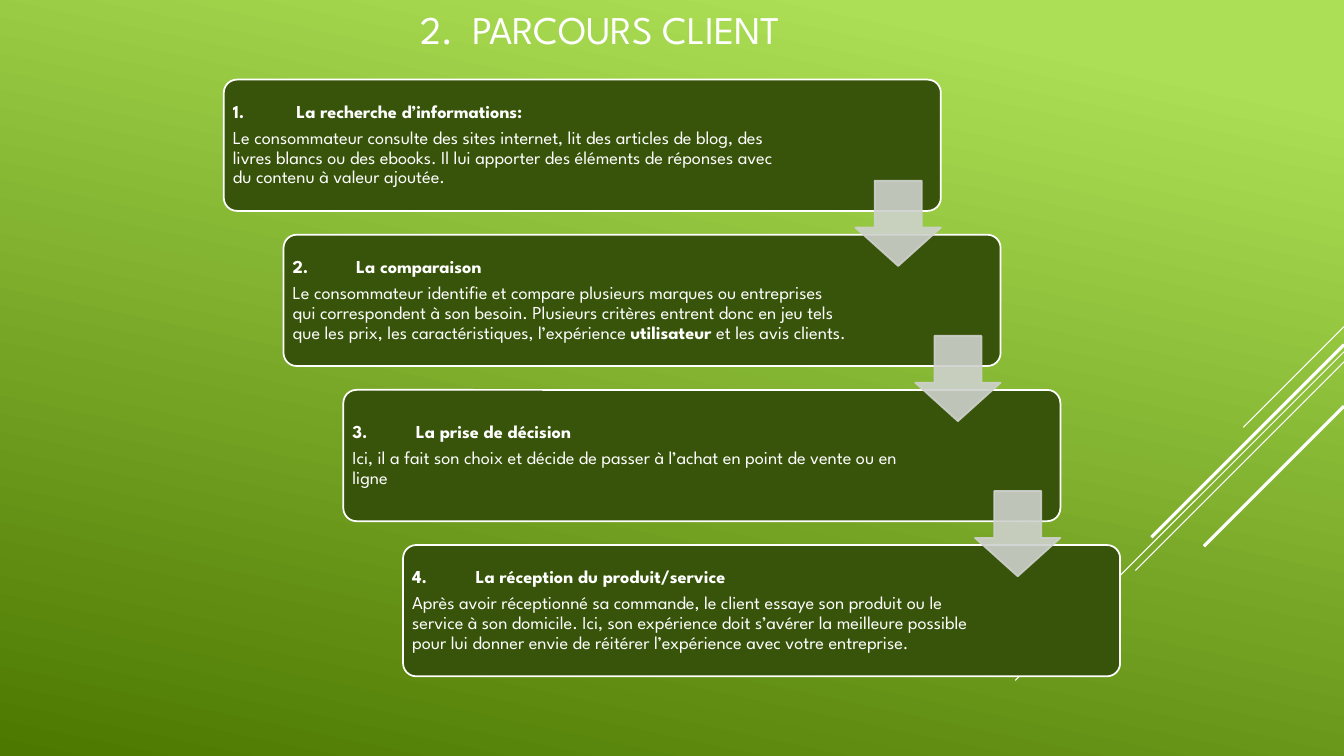
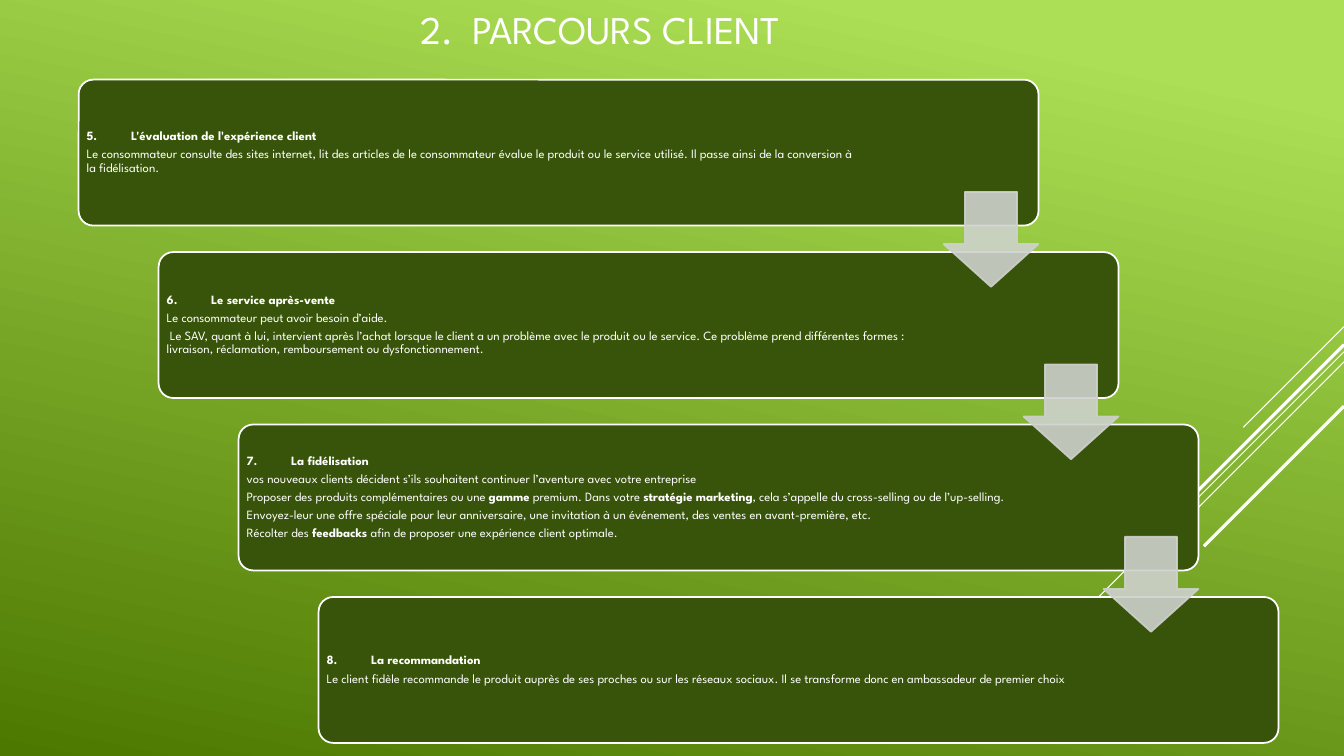
from dataclasses import dataclass

from lxml.etree import SubElement
from pptx import Presentation
from pptx.dml.color import RGBColor
from pptx.enum.shapes import MSO_CONNECTOR, MSO_SHAPE
from pptx.enum.text import MSO_ANCHOR, PP_ALIGN
from pptx.oxml.ns import qn
from pptx.util import Inches, Pt

PAGE_WIDTH, PAGE_HEIGHT = 13.33, 7.5
FONT = "League Spartan"
TITLE = "2.\tPARCOURS CLIENT"
COLOURS = {
    "light": "ACDF55",
    "dark": "4C7800",
    "card": "38540A",
    "arrow": "CED1CC",
    "white": "FFFFFF",
}

# Shares of the staircase (card size) and of a card (arrow size and place)
CARD_WIDTH, CARD_HEIGHT = 0.8, 0.22
ARROW_SIZE, ARROW_DROP = 0.65, 0.77
CARD_PADDING = 0.04


@dataclass(frozen=True)
class Diagonal:
    top: float
    run: float
    weight: float


@dataclass(frozen=True)
class Step:
    heading: str
    lines: tuple[str, ...]  # ** switches bold on and off


@dataclass(frozen=True)
class Staircase:
    left: float
    top: float
    width: float
    height: float
    text_share: float
    inset: float
    size: int
    tab: float
    steps: tuple[Step, ...]


DIAGONALS = (
    Diagonal(3.24, 1, 0.75),
    Diagonal(3.49, 3.26, 0.75),
    Diagonal(3.59, 2.07, 0.75),
    Diagonal(3.42, 1.91, 2.25),
    Diagonal(4.03, 1.39, 2.25),
)

STAIRCASES = (
    Staircase(2.22, 0.79, 8.89, 5.92, 0.79, 0.05, 13, 0.63, (
        Step("1.\tLa recherche d’informations:", (
            "Le consommateur consulte des sites internet, lit des articles de blog, des livres blancs "
            "ou des ebooks. Il lui apporter des éléments de réponses avec du contenu à valeur ajoutée.",
        )),
        Step("2.\tLa comparaison", (
            "Le consommateur identifie et compare plusieurs marques ou entreprises qui correspondent "
            "à son besoin. Plusieurs critères entrent donc en jeu tels que les prix, les "
            "caractéristiques, l’expérience **utilisateur **et les avis clients.",
        )),
        Step("3.\tLa prise de décision", (
            "Ici, il a fait son choix et décide de passer à l’achat en point de vente ou en ligne",
        )),
        Step("4.\tLa réception du produit/service", (
            "Après avoir réceptionné sa commande, le client essaye son produit ou le service à son "
            "domicile. Ici, son expérience doit s’avérer la meilleure possible pour lui donner envie "
            "de réitérer l’expérience avec votre entreprise.",
        )),
    )),
    Staircase(0.78, 0.79, 11.9, 6.58, 0.81, 0.04, 9, 0.44, (
        Step("5.\tL'évaluation de l'expérience client", (
            "Le consommateur consulte des sites internet, lit des articles de le consommateur évalue "
            "le produit ou le service utilisé. Il passe ainsi de la conversion à la fidélisation.",
        )),
        Step("6.\tLe service après-vente", (
            "Le consommateur peut avoir besoin d’aide.",
            " Le SAV, quant à lui, intervient après l’achat lorsque le client a un problème avec le "
            "produit ou le service. Ce problème prend différentes formes : livraison, réclamation, "
            "remboursement ou dysfonctionnement.",
        )),
        Step("7.\tLa fidélisation", (
            "vos nouveaux clients décident s’ils souhaitent continuer l’aventure avec votre entreprise",
            "Proposer des produits complémentaires ou une **gamme **premium. Dans votre "
            "**stratégie marketing**, cela s’appelle du cross-selling ou de l’up-selling.",
            "Envoyez-leur une offre spéciale pour leur anniversaire, une invitation à un événement, "
            "des ventes en avant-première, etc.",
            "Récolter des **feedbacks **afin de proposer une expérience client optimale.",
        )),
        Step("8.\tLa recommandation", (
            "Le client fidèle recommande le produit auprès de ses proches ou sur les réseaux sociaux. "
            "Il se transforme donc en ambassadeur de premier choix",
        )),
    )),
)


def colour(name: str) -> RGBColor:
    return RGBColor.from_string(COLOURS[name])


def set_font(para, size: float) -> None:
    para.font.name = FONT
    para.font.size = Pt(size)
    para.font.color.rgb = colour("white")


def set_tab(para, position: float) -> None:
    """Add one left tab stop; the paragraph's font must be set already."""
    properties = para._p.get_or_add_pPr()
    tabs = SubElement(properties, qn("a:tabLst"))
    SubElement(tabs, qn("a:tab"), pos=str(Inches(position)), algn="l")
    properties.find(qn("a:defRPr")).addprevious(tabs)


def add_box(page, left: float, top: float, width: float, height: float):
    box = page.shapes.add_textbox(Inches(left), Inches(top), Inches(width), Inches(height))
    box.text_frame.word_wrap = True
    return box.text_frame


def add_preset(page, kind, place: tuple[float, ...], adjustments: tuple[float, ...],
               fill: str, line: str):
    shape = page.shapes.add_shape(kind, *map(Inches, place))
    for index, value in enumerate(adjustments):
        shape.adjustments[index] = value
    shape.shadow.inherit = False
    shape.fill.solid()
    shape.fill.fore_color.rgb = colour(fill)
    shape.line.color.rgb = colour(line)
    shape.line.width = Pt(1.25)
    return shape


def add_page(deck):
    """Start a page with the shared background, diagonals and title."""
    page = deck.slides.add_slide(deck.slide_layouts[6])
    fill = page.background.fill
    fill.gradient()
    fill.gradient_angle = 360 - 102
    for stop, name, position in zip(fill.gradient_stops, ("light", "dark"), (0.1, 1)):
        stop.color.rgb = colour(name)
        stop.position = position

    for diagonal in DIAGONALS:
        line = page.shapes.add_connector(
            MSO_CONNECTOR.STRAIGHT, Inches(PAGE_WIDTH), Inches(diagonal.top),
            Inches(PAGE_WIDTH - diagonal.run), Inches(diagonal.top + diagonal.run))
        line.line.color.rgb = colour("white")
        line.line.width = Pt(diagonal.weight)
        SubElement(line._element.spPr, qn("a:effectLst"))

    para = add_box(page, 2.69, 0, 6.53, 0.87).paragraphs[0]
    para.alignment = PP_ALIGN.CENTER
    para.add_run().text = TITLE
    set_font(para, 28)
    set_tab(para, 0.51)
    return page


def add_step_text(frame, step: Step, stairs: Staircase) -> None:
    frame.vertical_anchor = MSO_ANCHOR.MIDDLE
    frame.margin_left = frame.margin_right = Inches(stairs.inset)
    frame.margin_top = frame.margin_bottom = Inches(stairs.inset)
    for index, text in enumerate((f"**{step.heading}", *step.lines)):
        para = frame.add_paragraph() if index else frame.paragraphs[0]
        set_font(para, stairs.size)
        para.line_spacing = 0.9
        para.space_after = Pt(0.35 * stairs.size)
        for part, words in enumerate(text.split("**")):
            if words:
                span = para.add_run()
                span.text = words
                span.font.bold = part % 2 == 1
    set_tab(frame.paragraphs[0], stairs.tab)


def add_staircase(page, stairs: Staircase) -> None:
    width, height = stairs.width * CARD_WIDTH, stairs.height * CARD_HEIGHT
    gaps = len(stairs.steps) - 1
    places = [(stairs.left + index * (stairs.width - width) / gaps,
               stairs.top + index * (stairs.height - height) / gaps)
              for index in range(len(stairs.steps))]

    # Cards
    for step, (left, top) in zip(stairs.steps, places):
        add_preset(page, MSO_SHAPE.ROUNDED_RECTANGLE, (left, top, width, height),
                   (0.1,), "card", "white")
        frame = add_box(page, left + CARD_PADDING, top + CARD_PADDING,
                        width * stairs.text_share, height - 2 * CARD_PADDING)
        add_step_text(frame, step, stairs)

    # Arrows from each card to the next
    side = height * ARROW_SIZE
    for left, top in places[:-1]:
        arrow = add_preset(page, MSO_SHAPE.DOWN_ARROW,
                           (left + width - side, top + height * ARROW_DROP, side, side),
                           (0.55, 0.45), "arrow", "arrow")
        for shade in arrow._element.spPr.findall(".//" + qn("a:srgbClr")):
            SubElement(shade, qn("a:alpha"), val="90000")


def main() -> None:
    deck = Presentation()
    deck.slide_width, deck.slide_height = Inches(PAGE_WIDTH), Inches(PAGE_HEIGHT)
    for stairs in STAIRCASES:
        add_staircase(add_page(deck), stairs)
    deck.save("out.pptx")


if __name__ == "__main__":
    main()
